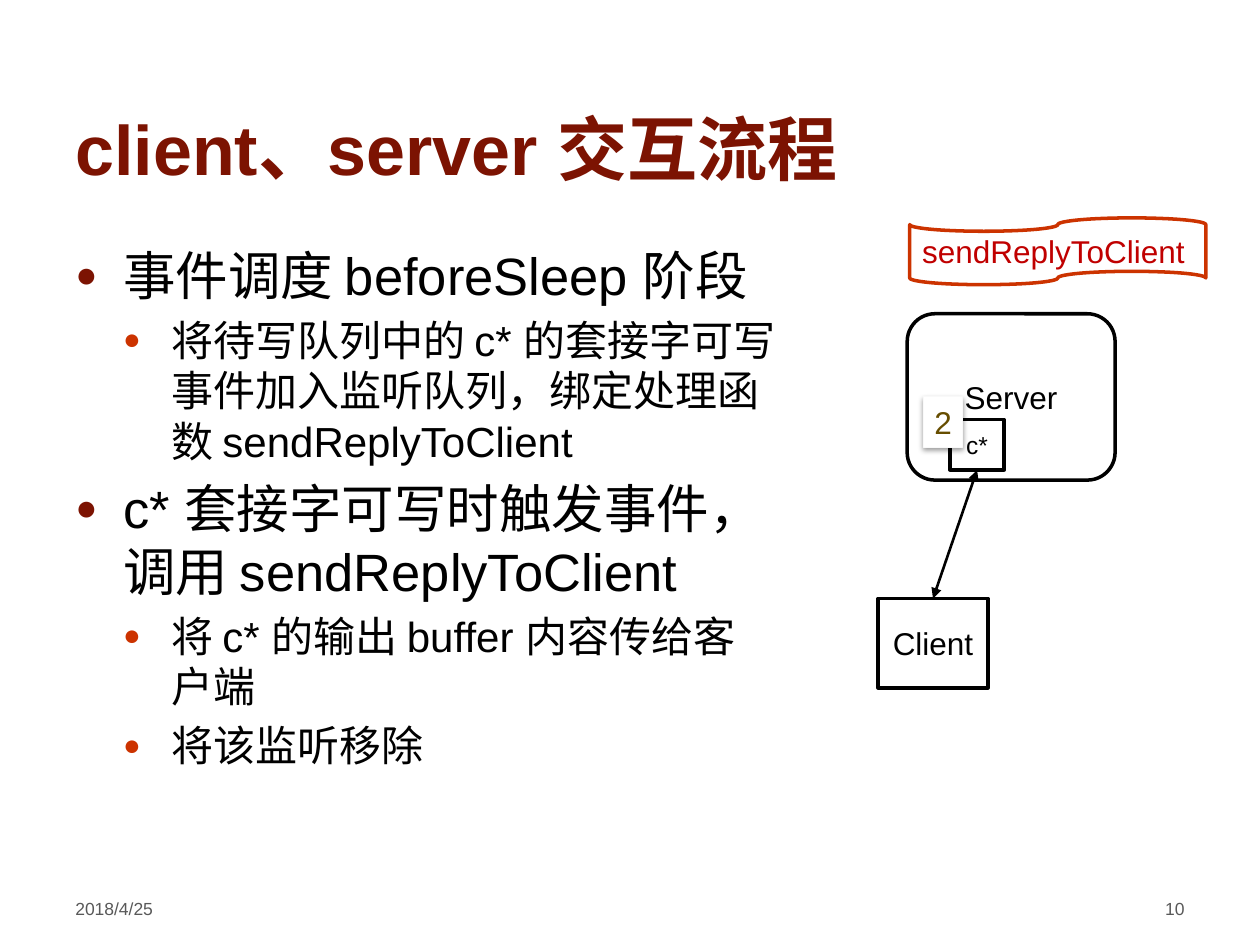
import pptx
import pptx.util
import pptx.dml.color
import pptx.enum.lang
import pptx.enum.shapes
import pptx.enum.text
import pptx.oxml
import pptx.oxml.ns

Inches, Pt = pptx.util.Inches, pptx.util.Pt
RGBColor = pptx.dml.color.RGBColor
Kind = pptx.enum.shapes.MSO_SHAPE
Align = pptx.enum.text.PP_ALIGN
Anchor = pptx.enum.text.MSO_ANCHOR
NS = pptx.oxml.ns.nsdecls("a")

BLACK = RGBColor(0, 0, 0)
WHITE = RGBColor(0xFF, 0xFF, 0xFF)
MAROON = RGBColor(0x7C, 0x13, 0x02)
ORANGE = RGBColor(0xCC, 0x33, 0x00)
RED = RGBColor(0xC0, 0x00, 0x00)
GRAY = RGBColor(0x59, 0x59, 0x59)
PALE = RGBColor(0xF9, 0xF9, 0xF9)
BROWN = RGBColor(0x66, 0x4D, 0x00)

# text, box, format, anchor, alignment
LABELS = [
    ("client、server 交互流程", (0.5, 0.13, 8.25, 1.42),
     {"size": Pt(40), "bold": True}, MAROON, Anchor.BOTTOM, Align.LEFT),
    ("2018/4/25", (0.5, 7.08, 2.33, 0.39),
     {"size": Pt(10)}, GRAY, Anchor.TOP, Align.LEFT),
    ("10", (7.17, 7.08, 2.33, 0.39),
     {"size": Pt(10)}, GRAY, Anchor.TOP, Align.RIGHT),
]

BODY = (0.5, 1.88, 5.76, 5.16)
POINTS = [
    (0, "事件调度 beforeSleep 阶段"),
    (1, "将待写队列中的 c* 的套接字可写事件加入监听队列，绑定处理函数 sendReplyToClient"),
    (0, "c* 套接字可写时触发事件，调用 sendReplyToClient"),
    (1, "将 c* 的输出 buffer 内容传给客户端"),
    (1, "将该监听移除"),
]
LEVELS = [(30, MAROON), (24, ORANGE)]  # text size, bullet colour
STEP = 0.38

# text, kind, box, size, text colour, line colour, line width, alignment
NODES = [
    ("Client", Kind.RECTANGLE, (6.97, 4.75, 0.87, 0.71),
     18, BLACK, BLACK, 2, Align.CENTER),
    ("Server", Kind.ROUNDED_RECTANGLE, (7.2, 2.49, 1.65, 1.32),
     18, BLACK, BLACK, 2, Align.CENTER),
    ("c*", Kind.RECTANGLE, (7.54, 3.33, 0.43, 0.4),
     14, BLACK, BLACK, 2, Align.CENTER),
    ("sendReplyToClient", Kind.WAVE, (7.22, 1.73, 2.35, 0.53),
     18, RED, ORANGE, 2, Align.LEFT),
]
NODES[-1] = NODES[-1][:1] + (Kind.FLOWCHART_PUNCHED_TAPE,) + NODES[-1][2:]
BADGE = ("2", Kind.RECTANGLE, (7.33, 3.15, 0.31, 0.4),
         18, BROWN, PALE, 0.75, Align.CENTER)


def put(obj, form):
    """Set every attribute named in a dict."""
    for key, val in form.items():
        setattr(obj, key, val)


def write(para, text, form, color):
    """Add one run of text to a paragraph."""
    run = para.add_run()
    run.text = text
    put(run.font, {"name": "Arial", **form,
                   "language_id": pptx.enum.lang.MSO_LANGUAGE_ID.SIMPLIFIED_CHINESE})
    run.font.color.rgb = color


def label(slide, text, box, form, color, anchor, align):
    """Add a one-line text box."""
    frame = slide.shapes.add_textbox(*map(Inches, box)).text_frame
    put(frame, {"word_wrap": True, "vertical_anchor": anchor})
    frame.paragraphs[0].alignment = align
    write(frame.paragraphs[0], text, form, color)


def bullet(para, level, color):
    """Give a paragraph its indent and bullet."""
    prop = para._p.get_or_add_pPr()
    prop.set("marL", str(Inches(STEP * (level + 1))))
    prop.set("indent", str(Inches(-STEP)))
    for xml in (f'<a:buClr {NS}><a:srgbClr val="{color}"/></a:buClr>',
                f'<a:buSzPct {NS} val="70000"/>',
                f'<a:buFont {NS} typeface="Arial"/>',
                f'<a:buChar {NS} char="●"/>'):
        prop.append(pptx.oxml.parse_xml(xml))


def outline(slide):
    """Add the bulleted body."""
    frame = slide.shapes.add_textbox(*map(Inches, BODY)).text_frame
    frame.word_wrap = True
    for num, (level, text) in enumerate(POINTS):
        para = frame.add_paragraph() if num else frame.paragraphs[0]
        size, color = LEVELS[level]
        put(para, {"level": level, "space_before": Pt(size * 0.2)})
        bullet(para, level, color)
        write(para, text, {"size": Pt(size)}, BLACK)


def node(slide, text, kind, box, size, color, edge, width, align):
    """Add a white shape with text and return it."""
    shape = slide.shapes.add_shape(kind, *map(Inches, box))
    shape.shadow.inherit = False
    shape.fill.solid()
    shape.fill.fore_color.rgb = WHITE
    shape.line.color.rgb = edge
    shape.line.width = Pt(width)
    frame = shape.text_frame
    put(frame, {"word_wrap": True, "vertical_anchor": Anchor.MIDDLE})
    frame.paragraphs[0].alignment = align
    write(frame.paragraphs[0], text, {"size": Pt(size)}, color)
    return shape


def arrow(slide, low, high):
    """Join the top of one shape to the bottom of another, both ends headed."""
    line = slide.shapes.add_connector(
        pptx.enum.shapes.MSO_CONNECTOR.STRAIGHT, 0, 0, 0, 0)
    line.begin_connect(low, 0)
    line.end_connect(high, 2)
    line.line.color.rgb = BLACK
    line.line.width = Pt(1.5)
    for end in ("headEnd", "tailEnd"):
        line.line._get_or_add_ln().append(
            pptx.oxml.parse_xml(f'<a:{end} {NS} type="triangle"/>'))
    line._element.spPr.append(pptx.oxml.parse_xml(f"<a:effectLst {NS}/>"))


def badge(slide):
    """Add the step number with its soft shadow."""
    shape = node(slide, *BADGE)
    shape.text_frame.word_wrap = False
    glow = shape._element.spPr.find(pptx.oxml.ns.qn("a:effectLst"))
    glow.append(pptx.oxml.parse_xml(
        f'<a:outerShdw {NS} blurRad="{Pt(3.1)}" dist="{Pt(1.6)}" dir="5400000" '
        'rotWithShape="0"><a:srgbClr val="000000"><a:alpha val="38000"/>'
        '</a:srgbClr></a:outerShdw>'))


def main():
    """Build and save the slide."""
    deck = pptx.Presentation()
    put(deck, {"slide_width": Inches(10), "slide_height": Inches(7.5)})
    slide = deck.slides.add_slide(deck.slide_layouts[6])
    for item in LABELS:
        label(slide, *item)
    outline(slide)
    parts = {item[0]: node(slide, *item) for item in NODES}
    arrow(slide, parts["Client"], parts["c*"])
    badge(slide)
    deck.save("out.pptx")


main()
